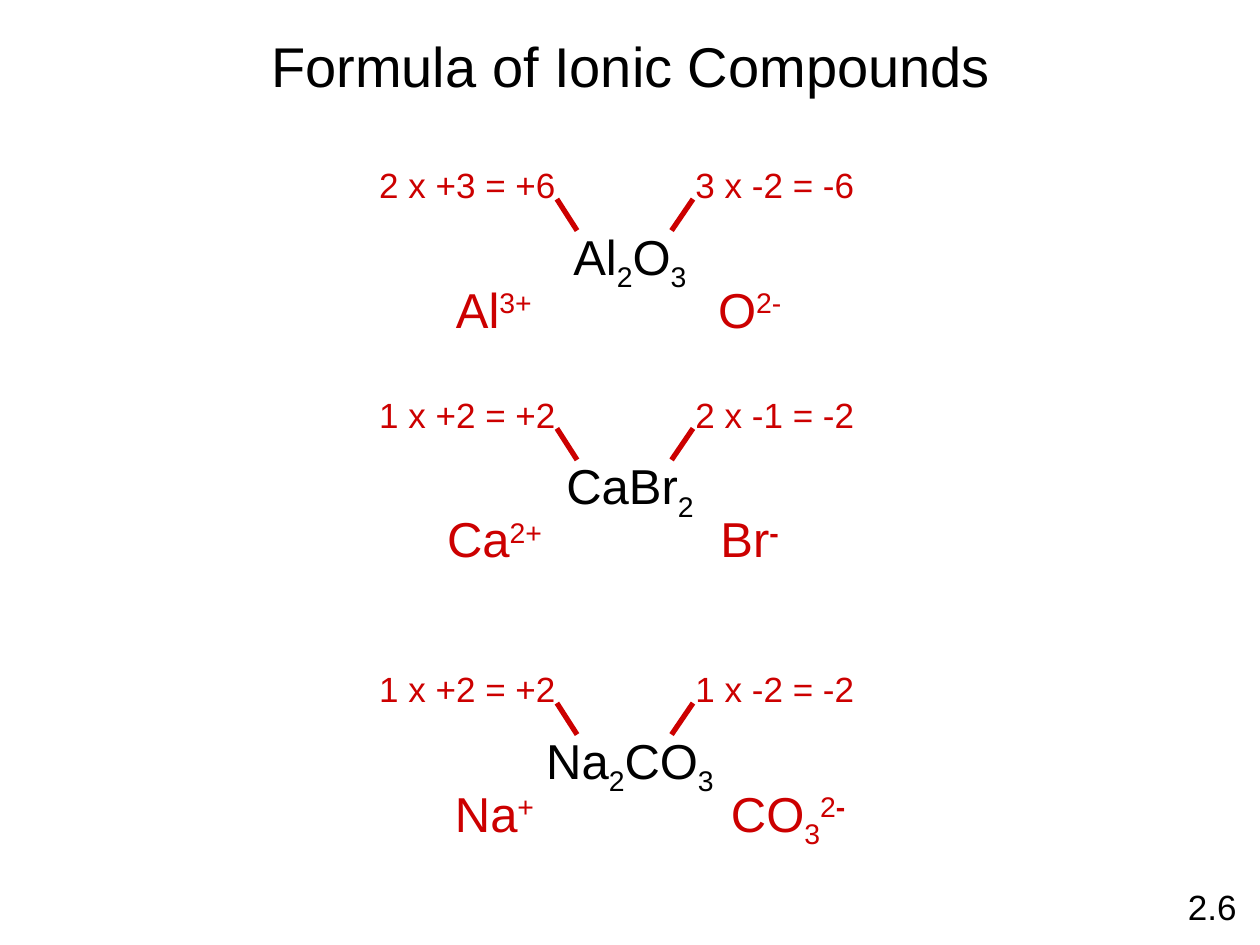
from lxml import etree
from pptx import Presentation
from pptx import util as u
from pptx.dml import color
from pptx.enum import shapes, text
from pptx.oxml import ns

PX = 9144
INK = {"black": "000000", "red": "CC0000"}
SUB, SUP = -25, 30


class Deck:
    font = "Arial"

    def __init__(self, wide, high):
        self.prs = Presentation()
        self.prs.slide_width = u.Emu(wide * PX)
        self.prs.slide_height = u.Emu(high * PX)
        self.slide = self.prs.slides.add_slide(self.prs.slide_layouts[6])

    def rgb(self, ink):
        return color.RGBColor.from_string(INK[ink])

    def group(self):
        return self.slide.shapes.add_group_shape().shapes

    def label(self, area, runs, size, ink="black", home=None, align="CENTER"):
        home = self.slide.shapes if home is None else home
        box = home.add_textbox(*(u.Emu(n * PX) for n in area))
        frame = box.text_frame
        frame.word_wrap = False
        frame.auto_size = text.MSO_AUTO_SIZE.SHAPE_TO_FIT_TEXT
        para = frame.paragraphs[0]
        para.alignment = getattr(text.PP_ALIGN, align)
        for words, base, bold in runs:
            run = para.add_run()
            run.text = words
            run.font.name = self.font
            run.font.size = u.Pt(size)
            run.font.bold = bold
            run.font.color.rgb = self.rgb(ink)
            if base:
                run.font._element.set("baseline", str(base * 1000))

    def line(self, ends, home, ink="red", width=3):
        tick = home.add_connector(
            shapes.MSO_CONNECTOR.STRAIGHT, *(u.Emu(n * PX) for n in ends))
        tick.line.color.rgb = self.rgb(ink)
        tick.line.width = u.Pt(width)
        etree.SubElement(tick._element.spPr, ns.qn("a:effectLst"))

    def save(self):
        self.prs.save("out.pptx")


def run(words, base=0, bold=False):
    return words, base, bold


def block(deck, top, name, sums, ions):
    runs, wide = name
    deck.label((500 - wide // 2, top + 50, wide, 63), runs, 28)

    home = deck.group()
    for words, left, width, start, end in zip(
            sums, (290, 541), (162, 148), (442, 550), (458, 533)):
        deck.label((left, top, width, 44), [run(words)], 20, "red", home)
        deck.line((start, top + 33, end, top + 58), home)

    for runs, left, wide, high in ions:
        deck.label((left, top + 92, wide, high), runs, 28, "red")


ROWS = [
    (125, ([run("Al"), run("2", SUB), run("O"), run("3", SUB)], 110),
     ("2 x +3 = +6", "3 x -2 = -6"),
     [([run("Al"), run("3+", SUP)], 352, 80, 57),
      ([run("O"), run("2-", SUP)], 560, 70, 57)]),
    (307, ([run("CaBr"), run("2", SUB)], 122),
     ("1 x +2 = +2", "2 x -1 = -2"),
     [([run("Ca"), run("2+", SUP)], 345, 95, 57),
      ([run("Br"), run("-", SUP, True)], 562, 66, 57)]),
    (525, ([run("Na"), run("2", SUB), run("CO"), run("3", SUB)], 154),
     ("1 x +2 = +2", "1 x -2 = -2"),
     [([run("Na"), run("+", SUP)], 351, 83, 57),
      ([run("CO"), run("3", SUB), run("2", SUP), run("-", SUP, True)],
       570, 111, 63)]),
]


def main():
    deck = Deck(1000, 750)
    deck.label((201, 20, 600, 64), [run("Formula of Ionic Compounds")], 32)
    for row in ROWS:
        block(deck, *row)
    deck.label((933, 698, 62, 44), [run("2.6")], 20, align="LEFT")
    deck.save()


if __name__ == "__main__":
    main()
